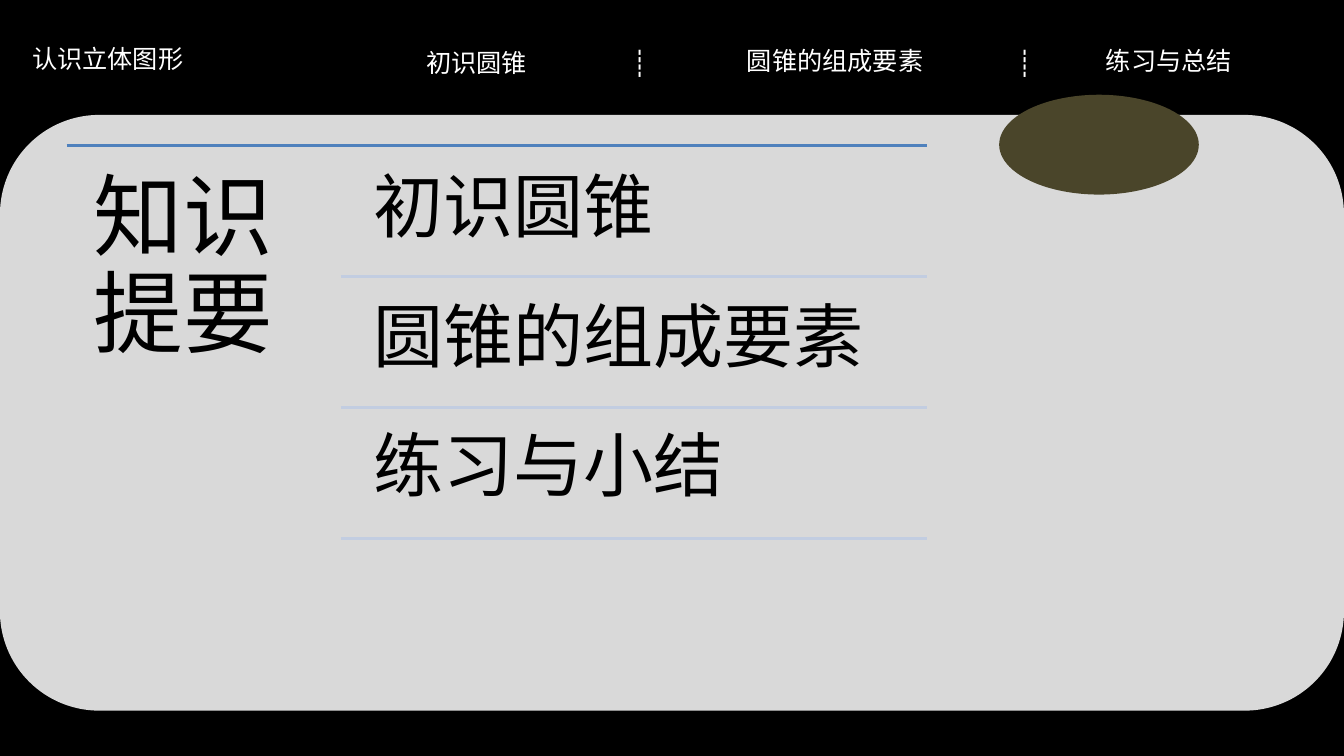
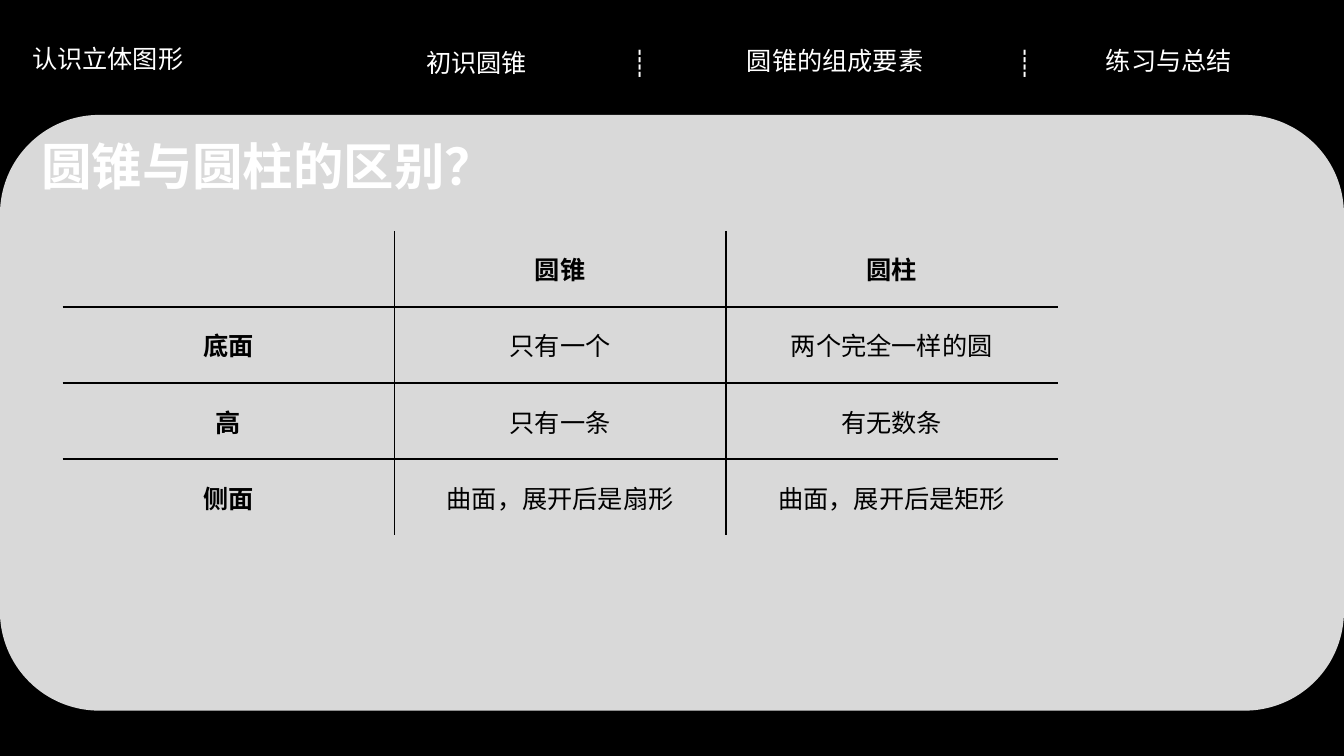
from dataclasses import dataclass

from lxml.etree import SubElement
from pptx import Presentation
from pptx.dml.color import RGBColor
from pptx.enum.shapes import MSO_CONNECTOR as Connector, MSO_SHAPE as Preset
from pptx.enum.text import MSO_ANCHOR as Anchor, MSO_AUTO_SIZE as AutoSize, PP_ALIGN as Align
from pptx.oxml import parse_xml
from pptx.oxml.ns import nsdecls, qn
from pptx.util import Inches, Pt


@dataclass(frozen=True)
class Theme:
    black: str = "000000"
    white: str = "FFFFFF"
    panel: str = "D9D9D9"
    accent: str = "4F81BD"
    divider: str = "C2CDE1"
    olive: str = "4A452A"
    label_font: str = "Arial"
    outline_font: str = "Calibri"
    heading_font: str = "Noto Sans CJK SC"
    label_size: int = 18
    heading_size: int = 36
    item_size: int = 50
    summary_size: int = 64


THEME = Theme()
NO_TABLE_STYLE = "{2D5ABB26-0587-4C30-8999-92F81FD0307C}"
NAVIGATION = [
    ("认识立体图形", 0.22, 0.38, 2.31),
    ("初识圆锥", 4.13, 0.42, 1.67),
    ("┊", 6.17, 0.42, 0.78),
    ("圆锥的组成要素", 7.31, 0.4, 2.31),
    ("┊", 9.99, 0.42, 0.51),
    ("练习与总结", 10.87, 0.4, 2.31),
]
OUTLINE = ["初识圆锥", "圆锥的组成要素", "练习与小结"]
COMPARISON = [
    ["", "圆锥", "圆柱"],
    ["底面", "只有一个", "两个完全一样的圆"],
    ["高", "只有一条", "有无数条"],
    ["侧面", "曲面，展开后是扇形", "曲面，展开后是矩形"],
]


def color(value):
    return RGBColor.from_string(value)


def place(shape, left, top, width, height):
    shape.left, shape.top = Inches(left), Inches(top)
    shape.width, shape.height = Inches(width), Inches(height)


def write_text(frame, lines, *, size, font=THEME.label_font, fill=THEME.black, bold=False,
               align=Align.LEFT, line_spacing=1.0, space_after=0, bullets=True):
    frame.text = "\n".join(lines)
    for paragraph in frame.paragraphs:
        if not bullets:
            properties = paragraph._p.get_or_add_pPr()
            properties.set("marL", "0")
            properties.set("indent", "0")
            SubElement(properties, qn("a:buNone"))
        paragraph.alignment = align
        paragraph.line_spacing = line_spacing
        paragraph.space_before = Pt(0)
        paragraph.space_after = Pt(space_after)
        for run in paragraph.runs:
            run.font.name = font
            run.font.size = Pt(size)
            run.font.bold = bold
            run.font.color.rgb = color(fill)


def fill_placeholder(shape, box, lines, inset=None, **text_format):
    place(shape, *box)
    frame = shape.text_frame
    frame.word_wrap = True
    frame.auto_size = AutoSize.NONE
    frame.vertical_anchor = Anchor.TOP
    if inset is not None:
        frame.margin_left = frame.margin_right = Inches(inset)
        frame.margin_top = frame.margin_bottom = Inches(inset)
    write_text(frame, lines, **text_format)


def add_label(slide, text, left, top, width):
    label = slide.shapes.add_textbox(Inches(left), Inches(top), Inches(width), Inches(0.4))
    label.text_frame.word_wrap = True
    write_text(label.text_frame, [text], size=THEME.label_size, fill=THEME.white)
    return label


def add_filled_shape(slide, preset, box, fill):
    shape = slide.shapes.add_shape(preset, *map(Inches, box))
    shape.shadow.inherit = False
    shape.fill.solid()
    shape.fill.fore_color.rgb = color(fill)
    shape.line.fill.background()
    return shape


def add_rule(slide, left, right, top, fill):
    rule = slide.shapes.add_connector(
        Connector.STRAIGHT, Inches(left), Inches(top), Inches(right), Inches(top))
    rule.line.color.rgb = color(fill)
    rule.line.width = Pt(2)
    SubElement(rule.element.spPr, qn("a:effectLst"))


def set_cell_borders(cell, sides):
    properties = cell._tc.get_or_add_tcPr()
    for position, side in enumerate(sides):
        properties.insert(position, parse_xml(
            f'<a:ln{side} {nsdecls("a")} w="12700"><a:solidFill>'
            f'<a:srgbClr val="{THEME.black}"/></a:solidFill></a:ln{side}>'))


def add_comparison_table(slide, rows, left, top, width, height):
    row_count, column_count = len(rows), len(rows[0])
    frame = slide.shapes.add_table(
        row_count, column_count, *map(Inches, (left, top, width, height)))
    table = frame.table
    table.first_row = table.horz_banding = False
    table._tbl.tblPr.find(qn("a:tableStyleId")).text = NO_TABLE_STYLE
    for row, values in enumerate(rows):
        for column, value in enumerate(values):
            cell = table.cell(row, column)
            cell.fill.background()
            cell.vertical_anchor = Anchor.MIDDLE
            cell.margin_left = cell.margin_right = Inches(0.07)
            cell.margin_top = cell.margin_bottom = 0
            write_text(cell.text_frame, [value], size=THEME.label_size,
                       bold=row == 0 or column == 0, align=Align.CENTER)
            inner_edges = {"L": column > 0, "R": column < column_count - 1,
                           "T": row > 0, "B": row < row_count - 1}
            set_cell_borders(cell, [side for side, inner in inner_edges.items() if inner])


def build_master(master, slide):
    master.background.fill.solid()
    master.background.fill.fore_color.rgb = color(THEME.black)
    shared = [add_filled_shape(slide, Preset.ROUNDED_RECTANGLE,
                               (0, 1.14, 13.33, 5.91), THEME.panel)]
    shared += [add_label(slide, *entry) for entry in NAVIGATION]
    for number, shape in enumerate(shared, start=100):
        shape.element.nvSpPr.cNvPr.set("id", str(number))
        master.shapes.element.append(shape.element)


def build_outline(slide):
    left, right, top, pitch = 3.38, 9.19, 1.44, 1.3
    add_rule(slide, 0.66, right, top, THEME.accent)
    fill_placeholder(slide.shapes.title, (0.66, top, 2.73, 3.95), ["知识提要"], inset=0.27,
                     size=THEME.summary_size, font=THEME.outline_font, line_spacing=0.9)
    fill_placeholder(slide.placeholders[1], (3.49, 1.5, 5.7, 3.82), OUTLINE, inset=0.21,
                     size=THEME.item_size, font=THEME.outline_font, line_spacing=0.9,
                     space_after=38.4, bullets=False)
    for number in range(1, len(OUTLINE) + 1):
        add_rule(slide, left, right, top + number * pitch, THEME.divider)
    add_filled_shape(slide, Preset.OVAL, (9.91, 0.94, 1.98, 0.99), THEME.olive)


def build_comparison(slide):
    fill_placeholder(slide.shapes.title, (0.31, 1.29, 7.88, 0.7), ["圆锥与圆柱的区别？"],
                     size=THEME.heading_size, font=THEME.heading_font,
                     fill=THEME.white, bold=True)
    add_comparison_table(slide, COMPARISON, 0.62, 2.29, 9.87, 3.02)


def main():
    presentation = Presentation()
    presentation.slide_width, presentation.slide_height = Inches(13.33), Inches(7.5)
    layouts = presentation.slide_layouts
    outline = presentation.slides.add_slide(layouts.get_by_name("Title and Content"))
    comparison = presentation.slides.add_slide(layouts.get_by_name("Title Only"))
    build_master(presentation.slide_master, outline)
    build_outline(outline)
    build_comparison(comparison)
    presentation.save("out.pptx")


if __name__ == "__main__":
    main()
